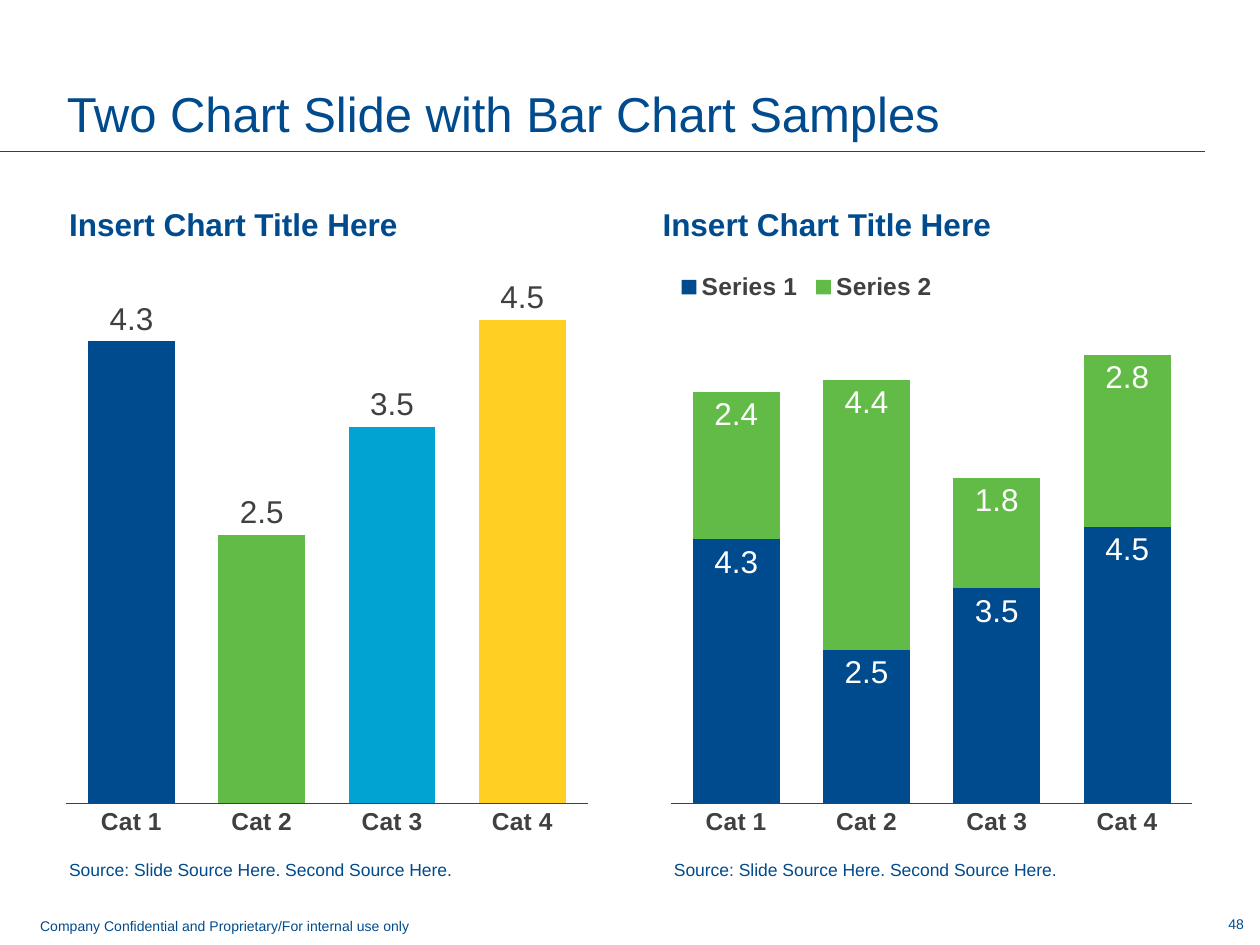
from lxml import etree
from pptx import Presentation
from pptx.chart.data import CategoryChartData as Data
from pptx.dml.color import RGBColor
from pptx.enum.chart import XL_CHART_TYPE as Kind, XL_LABEL_POSITION as Spot
from pptx.enum.chart import XL_LEGEND_POSITION as Side, XL_TICK_MARK as Tick
from pptx.enum.text import MSO_ANCHOR as Anchor, PP_ALIGN as Align
from pptx.oxml import parse_xml
from pptx.oxml.ns import qn
from pptx.util import Inches, Pt

BLUE = RGBColor(0x00, 0x4B, 0x8D)
GREEN = RGBColor(0x62, 0xBB, 0x46)
CYAN = RGBColor(0x00, 0xA4, 0xD2)
GOLD = RGBColor(0xFF, 0xCF, 0x22)
GREY = RGBColor(0x3F, 0x40, 0x40)
WHITE = RGBColor(0xFF, 0xFF, 0xFF)

CATS = ["Cat 1", "Cat 2", "Cat 3", "Cat 4"]
FIRST = ("Series 1", [4.3, 2.5, 3.5, 4.5])
SECOND = ("Series 2", [2.4, 4.4, 1.8, 2.8])
HEAD = "Insert Chart Title Here"
SOURCE = "Source: Slide Source Here. Second Source Here."
C_NS = "http://schemas.openxmlformats.org/drawingml/2006/chart"


def set_font(font, size, color, bold=False):
    font.name, font.size, font.bold = "Arial", Pt(size), bold
    font.color.rgb = color


def add_text(slide, box, text, size, bold=False, anchor=Anchor.TOP,
             foot=0.05, top=0.05):
    shape = slide.shapes.add_textbox(*map(Inches, box))
    frame = shape.text_frame
    frame.text = text
    frame.word_wrap = True
    frame.vertical_anchor = anchor
    frame.margin_top, frame.margin_bottom = Inches(top), Inches(foot)
    para = frame.paragraphs[0]
    set_font(para.runs[0].font, size, BLUE, bold)
    return para


def set_layout(parent, index, box, inner=False):
    """Fix a chart part at fractions (x, y, w, h) of the chart."""
    for old in parent.findall(qn("c:layout")):
        parent.remove(old)
    layout = parse_xml(f'<c:layout xmlns:c="{C_NS}"><c:manualLayout/></c:layout>')
    pairs = [("layoutTarget", "inner")] if inner else []
    pairs += [("xMode", "edge"), ("yMode", "edge"), *zip("xywh", box)]
    for tag, val in pairs:
        etree.SubElement(layout[0], qn(f"c:{tag}")).set("val", str(val))
    parent.insert(index, layout)


def add_bars(slide, box, kind, rows, fills, plot, peak, spot, ink):
    data = Data(number_format="General")
    data.categories = CATS
    for name, vals in rows:
        data.add_series(name, vals)
    chart = slide.shapes.add_chart(kind, *map(Inches, box), data).chart
    chart.has_title = chart.has_legend = False
    set_font(chart.font, 18, GREY)

    # Axes
    cat, val = chart.category_axis, chart.value_axis
    cat.major_tick_mark = cat.minor_tick_mark = Tick.NONE
    set_font(cat.tick_labels.font, 14, GREY, True)
    cat.format.line.color.rgb = GREY
    cat.format.line.width = Pt(0.75)
    val.has_major_gridlines = val.visible = False
    val.minimum_scale, val.maximum_scale = 0, peak

    # Bars and labels
    bars = chart.plots[0]
    bars.gap_width, bars.vary_by_categories = 50, False
    for row, fill in zip(bars.series, fills):
        row.format.fill.solid()
        row.format.fill.fore_color.rgb = fill
        labels = row.data_labels
        labels.show_value = True
        labels.position = spot
        labels.number_format, labels.number_format_is_linked = "0.0", False
        set_font(labels.font, 18, ink)
    set_layout(chart._chartSpace.chart.plotArea, 0, plot, inner=True)
    return chart


def add_plain(slide, box):
    chart = add_bars(slide, box, Kind.COLUMN_CLUSTERED, [FIRST], [BLUE],
                     (0.02, 0.02, 0.96, 0.905), 5, Spot.OUTSIDE_END, GREY)
    row = chart.plots[0].series[0]
    for i, color in enumerate([BLUE, GREEN, CYAN, GOLD]):
        fill = row.points[i].format.fill
        fill.solid()
        fill.fore_color.rgb = color


def add_stack(slide, box):
    chart = add_bars(slide, box, Kind.COLUMN_STACKED, [FIRST, SECOND],
                     [BLUE, GREEN], (0.02, 0.097, 0.96, 0.828), 8,
                     Spot.INSIDE_END, WHITE)
    chart.plots[0].overlap = 100
    chart.has_legend = True
    legend = chart.legend
    legend.position = Side.TOP
    legend.include_in_layout = False
    set_font(legend.font, 14, GREY, True)
    set_layout(legend._element, 1, (0.02, 0.025, 0.5, 0.06))


def add_panel(slide, box, head, draw):
    """Place a chart in the box, its title above and its source below."""
    left, top, width, height = box
    para = add_text(slide, head, HEAD, 18, True, Anchor.BOTTOM, 0, 0.1)
    para.line_spacing, para.space_after = 0.9, Pt(3)
    draw(slide, box)
    note = (left + 0.01, top + height + 0.07, width, 0.24)
    para = add_text(slide, note, SOURCE, 10, False, Anchor.BOTTOM, 0.05, 0.1)
    para.line_spacing = 0.9


def add_title(slide, box):
    title = slide.shapes.title
    title.left, title.top, title.width, title.height = map(Inches, box)
    frame = title.text_frame
    frame.text = "Two Chart Slide with Bar Chart Samples"
    frame.vertical_anchor = Anchor.BOTTOM
    para = frame.paragraphs[0]
    para.alignment, para.line_spacing = Align.LEFT, 0.85
    set_font(para.runs[0].font, 28, BLUE)

    # Rule below the title
    ends = map(Inches, (0, 1.2, 9.56, 1.2))
    rule = slide.shapes.add_connector(1, *ends)
    rule.line.color.rgb, rule.line.width = BLUE, Pt(0.75)
    etree.SubElement(rule._element.spPr, qn("a:effectLst"))


def add_footer(slide, box):
    left, top, width, height = box
    add_text(slide, box, "Company Confidential and Proprietary/For internal use only", 8)
    page = (left + width + 0.04, top, 0.59, 0.21)
    add_text(slide, page, "48", 8, anchor=Anchor.MIDDLE).alignment = Align.RIGHT


def main():
    deck = Presentation()
    deck.slide_width, deck.slide_height = Inches(10), Inches(7.5)
    slide = deck.slides.add_slide(deck.slide_layouts[5])
    add_title(slide, (0.43, 0.14, 9.14, 1.04))
    add_panel(slide, (0.44, 2.02, 4.31, 4.71), (0.45, 1.33, 4.42, 0.6), add_plain)
    add_panel(slide, (5.24, 2.02, 4.31, 4.71), (5.16, 1.33, 4.39, 0.6), add_stack)
    add_footer(slide, (0.22, 7.23, 9.12, 0.27))
    deck.save("out.pptx")


if __name__ == "__main__":
    main()
